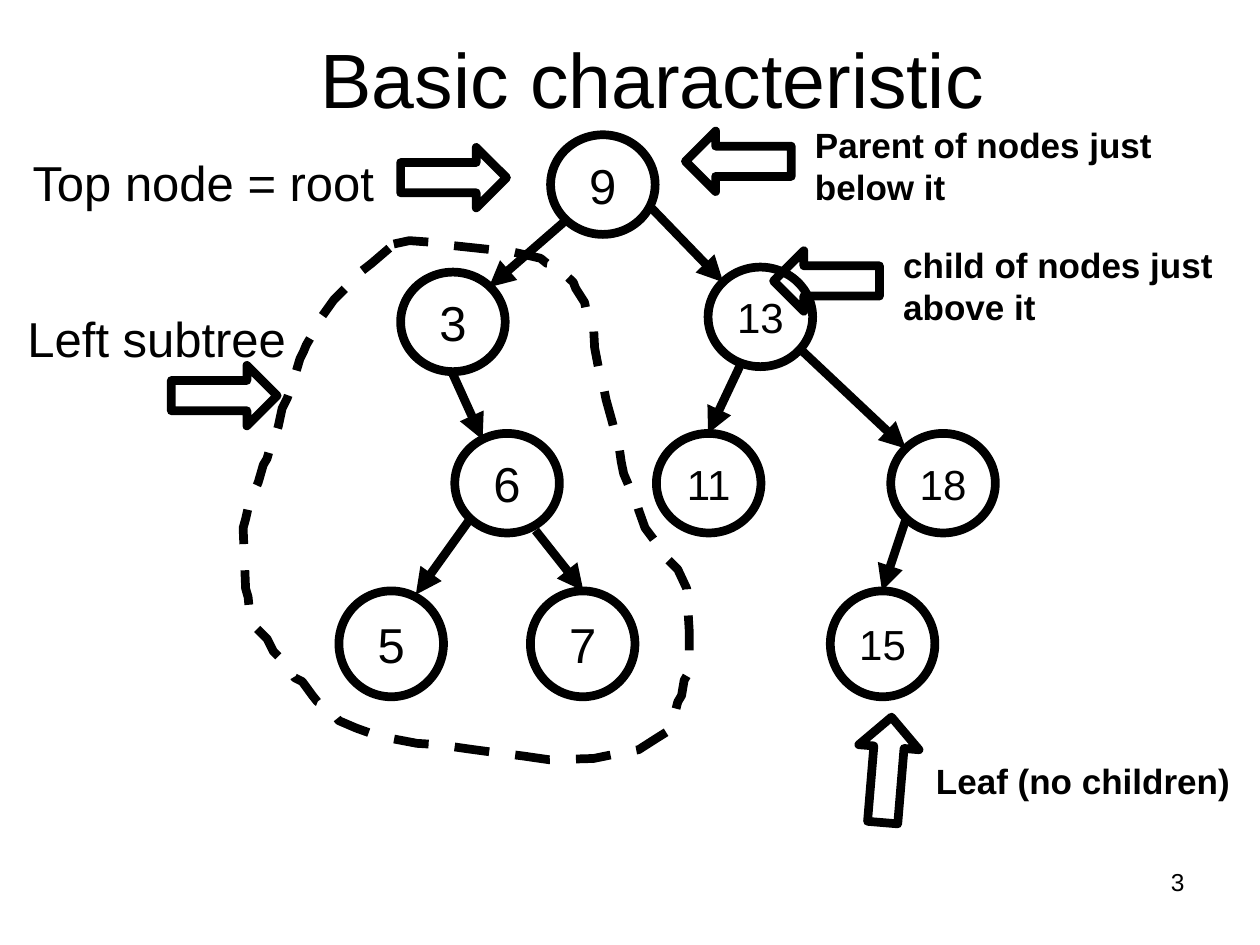
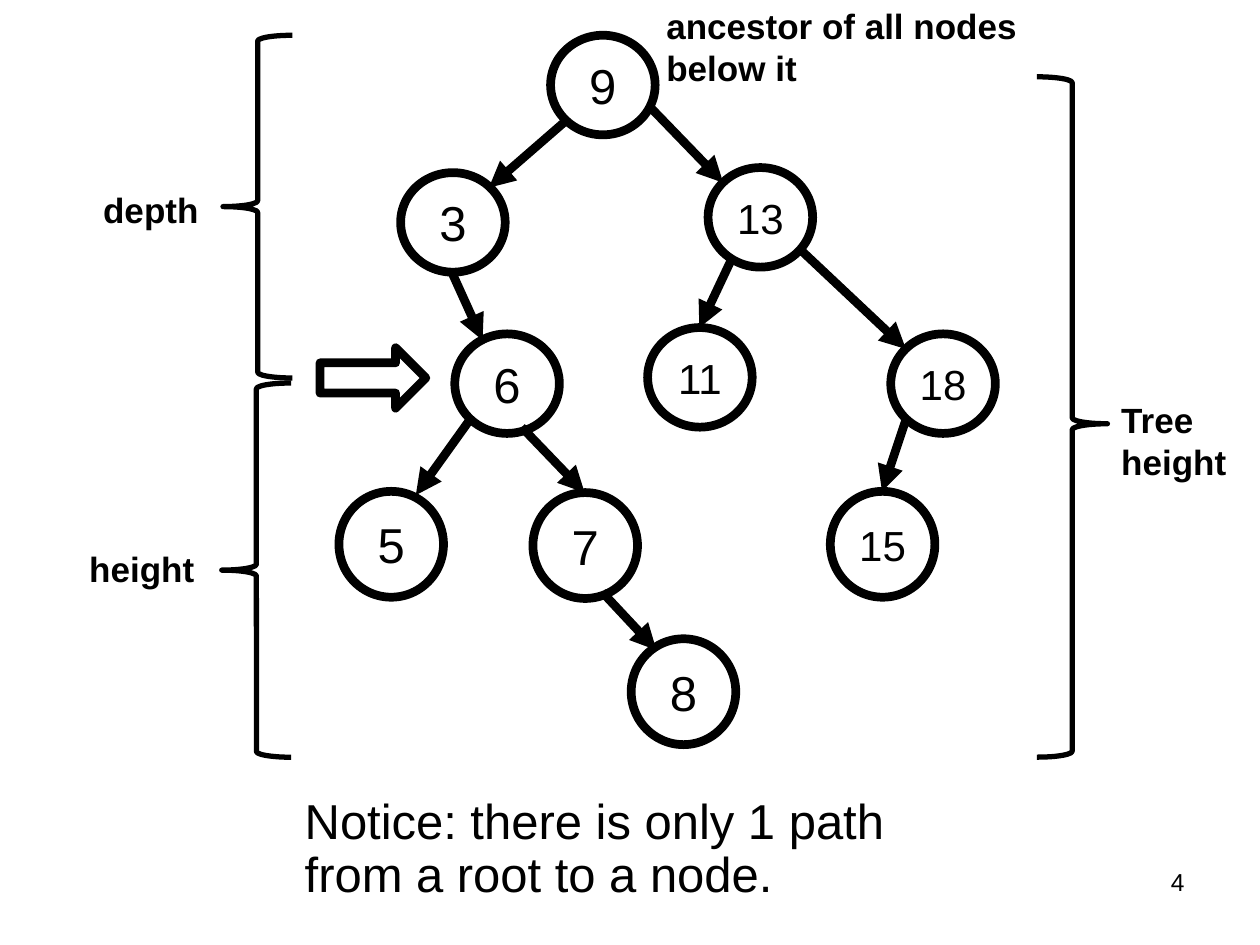
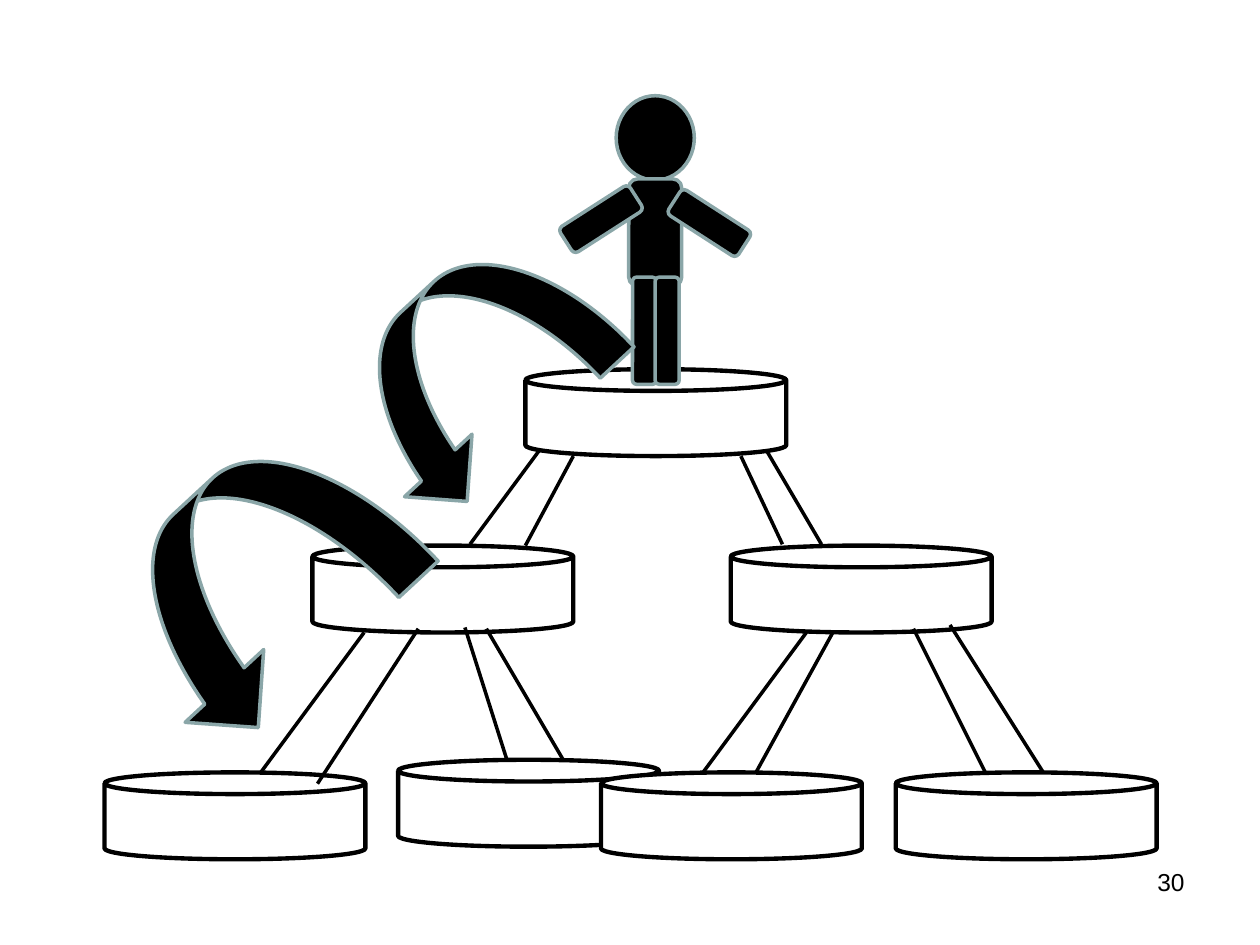
from dataclasses import dataclass

from pptx import Presentation
from pptx.dml.color import RGBColor as RGB
from pptx.enum.dml import MSO_LINE
from pptx.enum.shapes import MSO_CONNECTOR, MSO_SHAPE as SHAPE
from pptx.enum.text import MSO_ANCHOR as ANCHOR, MSO_AUTO_SIZE as FIT, PP_ALIGN as ALIGN
from pptx.oxml.ns import qn
from pptx.util import Pt
from lxml import etree

PX = 9144


@dataclass(frozen=True)
class Theme:
    font: str = "Arial"
    ink: RGB = RGB(0, 0, 0)
    paper: RGB = RGB(255, 255, 255)
    trim: RGB = RGB(0x8A, 0xA6, 0xA8)
    title: int = 44
    body: int = 28
    two_digits: int = 24
    note: int = 20
    number: int = 14
    thick: float = 5
    brace: float = 3
    can: float = 2.5
    thin: float = 2


T = Theme()


def draw(s, kind, box, width, color=T.ink, fill=None, rotation=0, arrow=False):
    a, b, c, d = [v * PX for v in box]
    if kind == "line":
        sp = s.shapes.add_connector(MSO_CONNECTOR.STRAIGHT, a, b, c, d)
    else:
        sp = s.shapes.add_shape(kind, a, b, c, d)
        sp.shadow.inherit = False
        sp.rotation = rotation
        if fill is None:
            sp.fill.background()
        else:
            sp.fill.solid()
            sp.fill.fore_color.rgb = fill
    sp.line.color.rgb = color
    sp.line.width = Pt(width)
    if kind == "line":
        if arrow:
            etree.SubElement(sp.line._get_or_add_ln(), qn("a:tailEnd"), type="triangle")
        etree.SubElement(sp._element.spPr, qn("a:effectLst"))
    return sp


def write(tf, text, size, bold=False, align=ALIGN.LEFT, spacing=None):
    for i, line in enumerate(text.split("\n")):
        p = tf.add_paragraph() if i else tf.paragraphs[0]
        p.alignment = align
        p.line_spacing = spacing
        r = p.add_run()
        r.text = line
        r.font.name = T.font
        r.font.size = Pt(size)
        r.font.bold = bold
        r.font.color.rgb = T.ink


prs = Presentation()
prs.slide_width, prs.slide_height = 1000 * PX, 750 * PX
basics = prs.slides.add_slide(prs.slide_layouts[5])
measures = prs.slides.add_slide(prs.slide_layouts[6])
climb = prs.slides.add_slide(prs.slide_layouts[6])

title = basics.shapes.title
title.left, title.top, title.width, title.height = 68 * PX, -1 * PX, 900 * PX, 125 * PX
title.text_frame.vertical_anchor = ANCHOR.MIDDLE
write(title.text_frame, "Basic characteristic", T.title, align=ALIGN.CENTER)

shared_nodes = [
    ("9", 437, 107, 79), ("3", 318, 216, 79), ("13", 562, 212, 79),
    ("18", 707, 344, 79), ("6", 361, 344, 79),
    ("5", 269, 469, 84), ("15", 659, 469, 84),
]
shared_edges = [
    (449, 175, 388, 228), (516, 164, 574, 224), (359, 296, 383, 349),
    (634, 276, 719, 356), (373, 412, 330, 472), (719, 412, 700, 469),
]
trees = [
    (basics, 0,
     [("11", 521, 344, 79), ("7", 421, 469, 84)],
     [(587, 291, 562, 344), (425, 421, 463, 469)]),
    (measures, -79,
     [("11", 514, 260, 79), ("7", 423, 391, 84), ("8", 501, 507, 84)],
     [(580, 207, 555, 260), (414, 339, 464, 391), (478, 470, 521, 516)]),
]
for s, dy, own_nodes, own_edges in trees:
    nodes = [(key, x, y + dy, h) for key, x, y, h in shared_nodes] + own_nodes
    edges = [(x1, y1 + dy, x2, y2 + dy) for x1, y1, x2, y2 in shared_edges] + own_edges
    for key, x, y, h in nodes:
        node = draw(s, SHAPE.OVAL, (x, y, 83, h), T.thick)
        tf = node.text_frame
        tf.word_wrap = False
        tf.vertical_anchor = ANCHOR.MIDDLE
        write(tf, key, T.body if len(key) == 1 else T.two_digits, align=ALIGN.CENTER)
    for edge in edges:
        draw(s, "line", edge, T.thick, arrow=True)

subtree = [
    (309, 197), (295, 209), (286, 216), (284, 221), (279, 224), (274, 229),
    (265, 238), (255, 252), (253, 257), (250, 262), (243, 274), (241, 279),
    (238, 285), (233, 302), (228, 316), (224, 324), (221, 338), (219, 345),
    (215, 352), (214, 357), (212, 364), (209, 369), (205, 383), (198, 398),
    (197, 403), (195, 412), (193, 419), (195, 467), (197, 474), (198, 485),
    (202, 497), (212, 507), (217, 517), (222, 522), (226, 528), (231, 533),
    (234, 538), (240, 541), (248, 552), (252, 557), (257, 559), (265, 567),
    (269, 572), (283, 578), (297, 583), (310, 586), (331, 590), (348, 591),
    (376, 595), (391, 597), (415, 600), (436, 603), (471, 602), (491, 598),
    (507, 595), (521, 586), (529, 581), (533, 576), (538, 557), (541, 552),
    (543, 540), (547, 533), (547, 500), (545, 467), (538, 452), (529, 443),
    (524, 438), (521, 431), (512, 419), (507, 405), (505, 398), (502, 393),
    (498, 383), (495, 376), (493, 366), (491, 352), (488, 343), (486, 335),
    (481, 317), (479, 307), (476, 297), (472, 276), (471, 257), (465, 245),
    (464, 240), (457, 229), (455, 224), (440, 210), (434, 209), (429, 205),
    (407, 200), (360, 195), (352, 193), (325, 191), (311, 194), (305, 200),
    (303, 203),
]
outline = basics.shapes.build_freeform(*subtree[0], scale=PX)
outline.add_line_segments(subtree[1:], close=False)
sp = outline.convert_to_shape()
sp.shadow.inherit = False
sp.fill.background()
sp.line.color.rgb = T.ink
sp.line.width = Pt(T.thick)
sp.line.dash_style = MSO_LINE.DASH

pointers = [
    (basics, SHAPE.RIGHT_ARROW, 318, 117, 0),
    (basics, SHAPE.RIGHT_ARROW, 136, 290, 0),
    (basics, SHAPE.LEFT_ARROW, 544, 104, 0),
    (basics, SHAPE.LEFT_ARROW, 614, 199, 0),
    (basics, SHAPE.LEFT_ARROW, 662, 587, 94.8),
    (measures, SHAPE.RIGHT_ARROW, 254, 276, 0),
]
for s, kind, x, y, rotation in pointers:
    draw(s, kind, (x, y, 84, 48), T.thick, rotation=rotation)

draw(measures, SHAPE.LEFT_BRACE, (177, 28, 55, 272), T.brace)
draw(measures, SHAPE.LEFT_BRACE, (176, 304, 55, 297), T.brace)
tree_brace = draw(measures, SHAPE.RIGHT_BRACE, (823, 61, 56, 540), T.brace)
tree_brace.adjustments[1] = 0.51

cans = [
    (417, 293), (248, 433), (580, 433),
    (83, 613), (316, 603), (477, 613), (711, 613),
]
hidden_rails = [(455, 321, 373, 432), (591, 328, 652, 432)]
rails = [
    (289, 502, 207, 613), (640, 502, 558, 613), (386, 499, 447, 603),
    (725, 499, 782, 613), (455, 362, 417, 433), (332, 499, 252, 622),
    (661, 502, 600, 613), (588, 362, 621, 432), (369, 498, 402, 602),
    (754, 496, 828, 613),
]
figure = [
    (SHAPE.OVAL, (489, 76, 62, 67), 0),
    (SHAPE.ROUNDED_RECTANGLE, (499, 142, 42, 85), 0),
    (SHAPE.ROUNDED_RECTANGLE, (502, 220, 19, 85), 0),
    (SHAPE.ROUNDED_RECTANGLE, (520, 220, 19, 85), 0),
    (SHAPE.ROUNDED_RECTANGLE, (551, 144, 24, 66), 302.8),
    (SHAPE.ROUNDED_RECTANGLE, (465, 141, 24, 66), 57.3),
    (SHAPE.CURVED_RIGHT_ARROW, (301, 187, 146, 217), 47.2),
    (SHAPE.CURVED_RIGHT_ARROW, (118, 345, 170, 237), 47.2),
]
for rail in hidden_rails:
    draw(climb, "line", rail, T.thin)
for x, y in cans:
    draw(climb, SHAPE.CAN, (x, y, 207, 69), T.can, fill=T.paper)
for kind, box, rotation in figure:
    draw(climb, kind, box, T.thin, T.trim, T.ink, rotation)
for rail in rails:
    draw(climb, "line", rail, T.thin)

labels = [
    (basics, (16, 116, 301, 57), "Top node = root", T.body, False, None),
    (basics, (12, 240, 240, 57), "Left subtree", T.body, False, None),
    (basics, (637, 93, 343, 77), "Parent of nodes just below it", T.note, True, None),
    (basics, (707, 188, 343, 77), "child of nodes just above it", T.note, True, None),
    (basics, (733, 598, 343, 44), "Leaf (no children)", T.note, True, None),
    (measures, (519, -1, 343, 77), "ancestor of all nodes below it", T.note, True, None),
    (measures, (72, 145, 159, 44), "depth", T.note, True, None),
    (measures, (61, 430, 159, 44), "height", T.note, True, None),
    (measures, (232, 628, 500, 95), "Notice: there is only 1 path from a root to a node.",
     T.body, False, 0.9),
    (measures, (880, 311, 159, 77), "Tree\nheight", T.note, True, None),
]
for s, box, text, size, bold, spacing in labels:
    tf = s.shapes.add_textbox(*[v * PX for v in box]).text_frame
    tf.word_wrap = True
    tf.auto_size = FIT.SHAPE_TO_FIT_TEXT
    write(tf, text, size, bold, spacing=spacing)

for s, number in [(basics, "3"), (measures, "4"), (climb, "30")]:
    tf = s.shapes.add_textbox(717 * PX, 683 * PX, 233 * PX, 52 * PX).text_frame
    tf.word_wrap = True
    write(tf, number, T.number, align=ALIGN.RIGHT)

prs.save("out.pptx")
